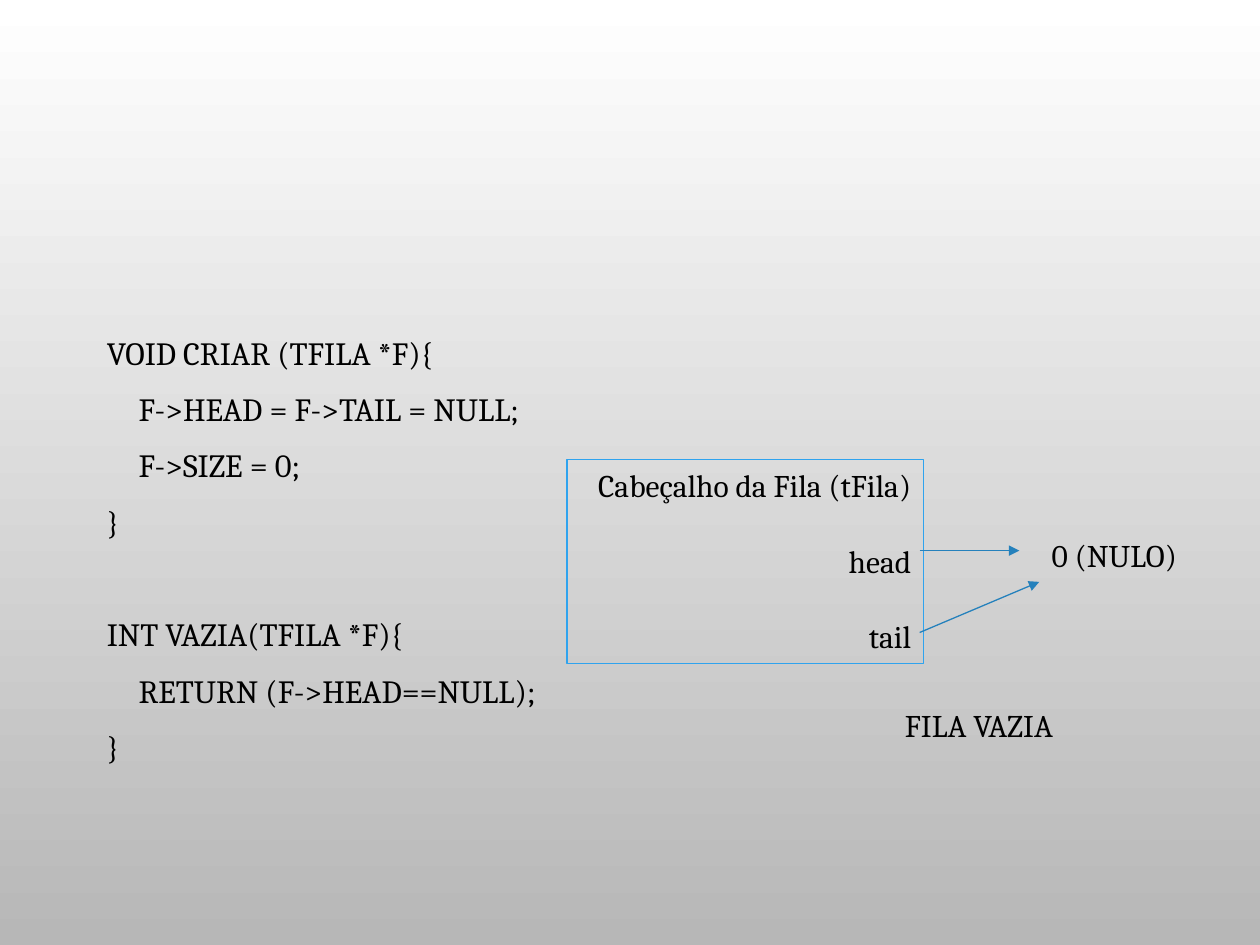
from lxml import etree
from pptx import Presentation
from pptx.dml.color import RGBColor
from pptx.enum.shapes import MSO_CONNECTOR, MSO_SHAPE
from pptx.enum.text import MSO_ANCHOR, MSO_AUTO_SIZE, PP_ALIGN
from pptx.oxml.ns import qn
from pptx.util import Cm, Pt

LEFT, CENTER, RIGHT = PP_ALIGN.LEFT, PP_ALIGN.CENTER, PP_ALIGN.RIGHT
TOP, NO_FIT = MSO_ANCHOR.TOP, MSO_AUTO_SIZE.NONE
STRAIGHT, RECTANGLE = MSO_CONNECTOR.STRAIGHT, MSO_SHAPE.RECTANGLE

FONT = "Cambria"
COLORS = {
    "text": "000000",
    "box": "2FA3EE",
    "arrow": "2581BC",
    "background_top": "FFFFFF",
    "background_bottom": "B7B7B7",
}
LINE_GAP = 10
BLOCK_GAP = 42
FIELD_GAP = 21.6

# Text, indent level and space before in points
CODE_LINES = [
    ("VOID CRIAR (TFILA *F){", 0, 0),
    ("F->HEAD = F->TAIL = NULL;", 1, LINE_GAP),
    ("F->SIZE = 0;", 1, LINE_GAP),
    ("}", 0, LINE_GAP),
    ("INT VAZIA(TFILA *F){", 0, BLOCK_GAP),
    ("RETURN (F->HEAD==NULL);", 1, LINE_GAP),
    ("}", 0, LINE_GAP),
]


def color(name):
    return RGBColor.from_string(COLORS[name])


def format_paragraph(paragraph, size, alignment=LEFT, space_before=0):
    paragraph.alignment = alignment
    paragraph.space_before = Pt(space_before)
    for run in paragraph.runs:
        run.font.name = FONT
        run.font.size = Pt(size)
        run.font.color.rgb = color("text")


def set_background(slide):
    fill = slide.background.fill
    fill.gradient()
    fill.gradient_angle = 270
    for stop, name in zip(fill.gradient_stops, ("background_top", "background_bottom")):
        stop.color.rgb = color(name)


def add_code(slide, left, top, width, height):
    body = slide.placeholders[1]
    body.left, body.top = Cm(left), Cm(top)
    body.width, body.height = Cm(width), Cm(height)
    text_frame = body.text_frame
    text_frame.auto_size = NO_FIT
    text_frame.vertical_anchor = TOP
    text_frame.text = "\n".join(text for text, _, _ in CODE_LINES)
    for paragraph, (_, level, gap) in zip(text_frame.paragraphs, CODE_LINES):
        format_paragraph(paragraph, 18.5, space_before=gap)
        properties = paragraph._p.get_or_add_pPr()
        properties.set("marL", str(Cm(0.64) * level))
        properties.set("indent", "0")
        etree.SubElement(properties, qn("a:buNone"))


def add_label(slide, text, left, top, width, alignment=LEFT):
    label = slide.shapes.add_textbox(Cm(left), Cm(top), Cm(width), Cm(1.02))
    label.text_frame.word_wrap = True
    label.text_frame.text = text
    format_paragraph(label.text_frame.paragraphs[0], 18, alignment)


def add_arrow(slide, start_x, start_y, end_x, end_y, width):
    arrow = slide.shapes.add_connector(
        STRAIGHT, Cm(start_x), Cm(start_y), Cm(end_x), Cm(end_y))
    arrow.line.color.rgb = color("arrow")
    arrow.line.width = Pt(width)
    etree.SubElement(arrow.line._get_or_add_ln(), qn("a:tailEnd"), type="triangle")
    etree.SubElement(arrow._element.spPr, qn("a:effectLst"))


def add_queue_diagram(slide, left, top, width, height):
    # Queue header with its two pointers
    header = slide.shapes.add_shape(RECTANGLE, Cm(left), Cm(top), Cm(width), Cm(height))
    header.shadow.inherit = False
    header.fill.background()
    header.line.color.rgb = color("box")
    header.line.width = Pt(0.75)
    text_frame = header.text_frame
    text_frame.word_wrap = True
    text_frame.vertical_anchor = TOP
    text_frame.text = "Cabeçalho da Fila (tFila)\nhead\ntail"
    for index, paragraph in enumerate(text_frame.paragraphs):
        format_paragraph(paragraph, 18, RIGHT, FIELD_GAP if index else 0)

    # Null value and the arrows that reach it
    right = left + width
    add_label(slide, "0 (NULO)", right + 2.33, top + 1.42, 3.96)
    arrow_start = right - 0.08
    add_arrow(slide, arrow_start, top + 1.83, right + 1.93, top + 1.83, 1)
    add_arrow(slide, arrow_start, top + 3.48, right + 2.33, top + 2.46, 0.75)

    # Caption
    add_label(slide, "FILA VAZIA", left + 3.71, top + height + 0.72, 9.19, CENTER)


def main():
    presentation = Presentation()
    presentation.slide_width, presentation.slide_height = Cm(25.4), Cm(19.05)
    slide = presentation.slides.add_slide(presentation.slide_layouts[1])
    title = slide.shapes.title._element
    title.getparent().remove(title)
    set_background(slide)
    add_code(slide, 1.9, 6.58, 21.59, 9.5)
    add_queue_diagram(slide, 11.43, 9.27, 7.19, 4.11)
    presentation.save("out.pptx")


if __name__ == "__main__":
    main()
